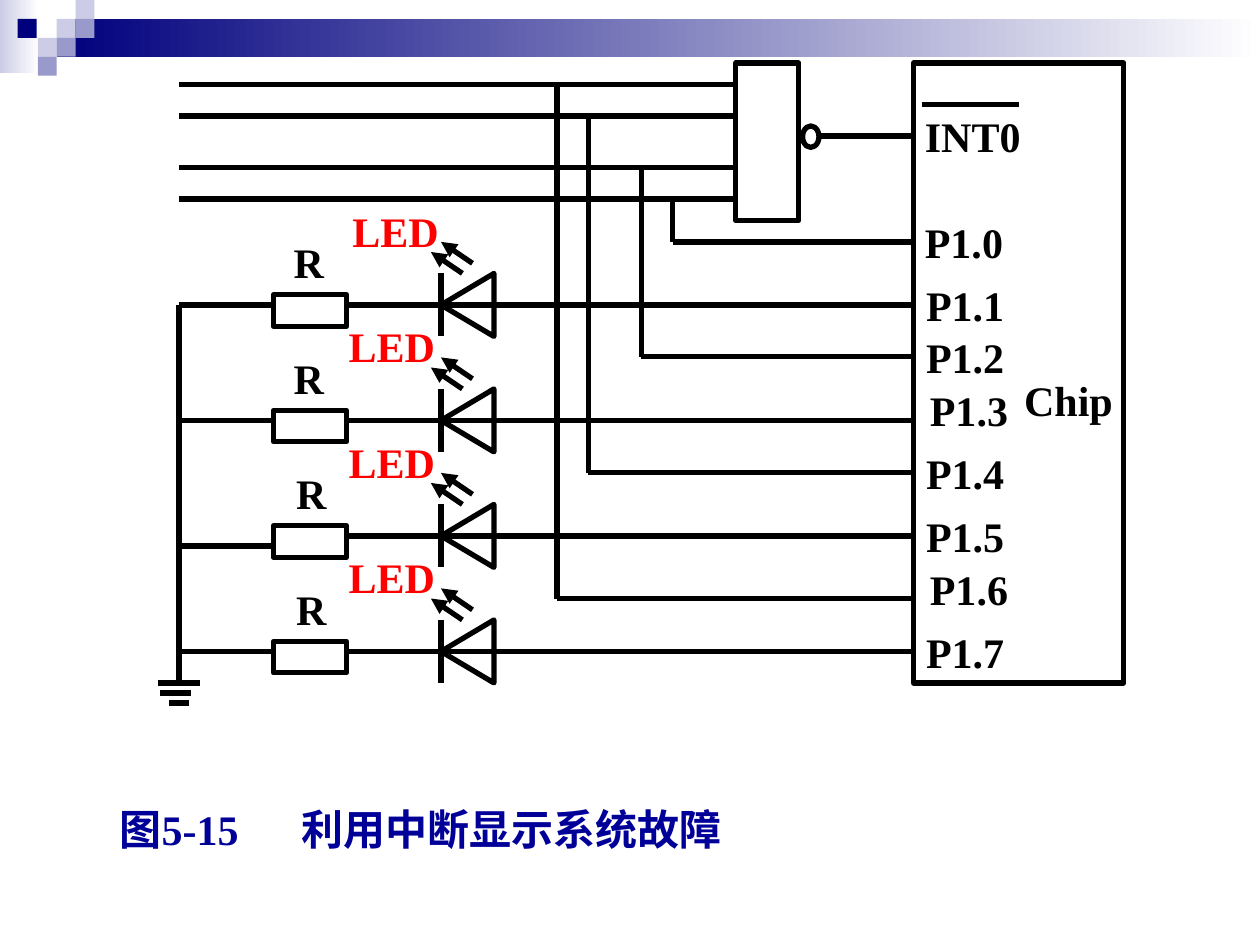
from dataclasses import dataclass

from lxml.etree import SubElement
from pptx import Presentation
from pptx.dml.color import RGBColor
from pptx.enum.shapes import MSO_CONNECTOR, MSO_SHAPE
from pptx.enum.text import MSO_ANCHOR, MSO_AUTO_SIZE, PP_ALIGN
from pptx.oxml.ns import qn
from pptx.util import Inches, Pt


@dataclass(frozen=True)
class Theme:
    font: str = "Times New Roman"
    size: int = 24
    line: int = 3
    ink: str = "000000"
    led: str = "FF0000"
    caption: str = "000099"
    navy: str = "00007D"
    mid: str = "9999CC"
    pale: str = "CCCCE6"
    white: str = "FFFFFF"


T = Theme()

CAPTION = "图5-15\t利用中断显示系统故障"
CAPTION_BOX = (0.85, 6.33, 5.2, 0.5)
CAPTION_TAB = 1.44

BANDS = [((0, 0, 0.31, 0.58), T.pale), ((0.45, 0.15, 9.55, 0.3), T.navy)]
TILE = 0.15
TILES = [
    (0.45, 0.15, T.pale), (0.6, 0, T.pale), (0.6, 0.15, T.mid),
    (0.3, 0.3, T.pale), (0.14, 0.15, T.navy), (0.45, 0.3, T.mid),
    (0.3, 0.45, T.mid),
]

BUS_X, GATE_X, CHIP_X = 1.42, 5.84, 7.25
RES_X, RES_W, RES_H = 2.17, 0.58, 0.25
LED_X = 3.5
ROW_TOP, ROW_STEP = 2.42, 2.75 / 3

GATE_INPUTS = [
    (0.67, 4.42, 4.75), (0.92, 4.67, 3.75),
    (1.33, 5.09, 2.83), (1.58, 5.34, 1.92),
]
GROUND = [(5.42, 1.25, 1.59), (5.5, 1.27, 1.52), (5.58, 1.34, 1.5)]
LED_ROWS = [
    {"r_x": 2.23, "led_x": 2.7, "feed_dy": 0},
    {"r_x": 2.23, "led_x": 2.67, "feed_dy": 0},
    {"r_x": 2.25, "led_x": 2.67, "feed_dy": 0.08},
    {"r_x": 2.25, "led_x": 2.67, "feed_dy": 0},
]
CHIP_LABELS = [
    ("INT0", 7.24, 0.83, 0.96), ("P1.0", 7.24, 1.67, 0.82),
    ("P1.1", 7.25, 2.17, 0.82), ("P1.2", 7.25, 2.58, 0.82),
    ("P1.3", 7.28, 3, 0.82), ("P1.4", 7.25, 3.5, 0.82),
    ("P1.5", 7.25, 4, 0.82), ("P1.6", 7.28, 4.42, 0.82),
    ("P1.7", 7.25, 4.92, 0.82), ("Chip", 8.05, 2.92, 0.86),
]


def rgb(color):
    return RGBColor.from_string(color)


def add_block(s, box, color, fade=False):
    sp = s.shapes.add_shape(MSO_SHAPE.RECTANGLE, *map(Inches, box))
    sp.shadow.inherit = False
    sp.line.fill.background()
    if fade:
        sp.fill.gradient()
        sp.fill.gradient_angle = 0
        for stop, c in zip(sp.fill.gradient_stops, (color, T.white)):
            stop.color.rgb = rgb(c)
    else:
        sp.fill.solid()
        sp.fill.fore_color.rgb = rgb(color)


def add_outline(s, kind, box, rotation=0):
    sp = s.shapes.add_shape(kind, *map(Inches, box))
    sp.shadow.inherit = False
    sp.fill.background()
    sp.line.color.rgb = rgb(T.ink)
    sp.line.width = Pt(T.line)
    sp.rotation = rotation


def add_wire(s, x1, y1, x2, y2, arrow=False):
    cx = s.shapes.add_connector(
        MSO_CONNECTOR.STRAIGHT, *map(Inches, (x1, y1, x2, y2)))
    cx.line.color.rgb = rgb(T.ink)
    cx.line.width = Pt(T.line)
    if arrow:
        SubElement(cx.line._get_or_add_ln(), qn("a:tailEnd"), type="triangle")
    SubElement(cx._element.spPr, qn("a:effectLst"))


def set_text(sp, text, color, align, wrap):
    tf = sp.text_frame
    tf.text = text
    tf.word_wrap = wrap
    tf.auto_size = MSO_AUTO_SIZE.NONE
    tf.vertical_anchor = MSO_ANCHOR.MIDDLE
    p = tf.paragraphs[0]
    p.alignment = align
    p.line_spacing = 1.0
    for r in p.runs:
        r.font.name = T.font
        r.font.size = Pt(T.size)
        r.font.bold = True
        r.font.color.rgb = rgb(color)
    return p


def add_label(s, text, x, y, w, color=T.ink):
    sp = s.shapes.add_textbox(*map(Inches, (x, y, w, 0.5)))
    set_text(sp, text, color, PP_ALIGN.CENTER, False)


def add_caption(s):
    sp = s.shapes.title
    sp.left, sp.top, sp.width, sp.height = map(Inches, CAPTION_BOX)
    p = set_text(sp, CAPTION, T.caption, PP_ALIGN.LEFT, True)
    tabs = SubElement(p._p.get_or_add_pPr(), qn("a:tabLst"))
    SubElement(tabs, qn("a:tab"), pos=str(Inches(CAPTION_TAB)), algn="l")


def add_led_row(s, y, row):
    feed_y = y + row["feed_dy"]
    add_wire(s, RES_X, feed_y, BUS_X, feed_y)
    add_outline(s, MSO_SHAPE.RECTANGLE, (RES_X, y - 0.08, RES_W, RES_H))
    add_wire(s, RES_X + RES_W, y, CHIP_X, y)
    add_wire(s, LED_X, y - 0.25, LED_X, y + 0.25)
    add_outline(s, MSO_SHAPE.ISOSCELES_TRIANGLE,
                (LED_X - 0.04, y - 0.21, 0.5, 0.42), 270)
    for dx, dy in ((0, -0.5), (-0.08, -0.42)):
        x, tip = LED_X + dx, y + dy
        add_wire(s, x + 0.25, tip + 0.17, x, tip, arrow=True)
    add_label(s, "R", row["r_x"], y - 0.59, 0.44)
    add_label(s, "LED", row["led_x"], y - 0.84, 0.88, T.led)


def main():
    prs = Presentation()
    prs.slide_width, prs.slide_height = Inches(10), Inches(7.5)
    s = prs.slides.add_slide(prs.slide_layouts[5])

    for box, color in BANDS:
        add_block(s, box, color, fade=True)
    for x, y, color in TILES:
        add_block(s, (x, y, TILE, TILE), color)

    add_outline(s, MSO_SHAPE.RECTANGLE, (CHIP_X, 0.5, 1.67, 4.92))
    add_outline(s, MSO_SHAPE.RECTANGLE, (GATE_X, 0.5, 0.5, 1.25))
    add_outline(s, MSO_SHAPE.OVAL, (6.37, 1, 0.13, 0.17))
    add_wire(s, 6.5, 1.08, CHIP_X, 1.08)

    for y, x, pin_y in GATE_INPUTS:
        add_wire(s, GATE_X, y, BUS_X, y)
        add_wire(s, x, y, x, pin_y)
        add_wire(s, x, pin_y, CHIP_X, pin_y)

    for i, row in enumerate(LED_ROWS):
        add_led_row(s, ROW_TOP + i * ROW_STEP, row)

    add_wire(s, BUS_X, ROW_TOP, BUS_X, GROUND[0][0])
    for y, x1, x2 in GROUND:
        add_wire(s, x1, y, x2, y)

    for text, x, y, w in CHIP_LABELS:
        add_label(s, text, x, y, w)
    add_wire(s, 7.32, 0.83, 8.09, 0.83)

    add_caption(s)
    prs.save("out.pptx")


if __name__ == "__main__":
    main()
